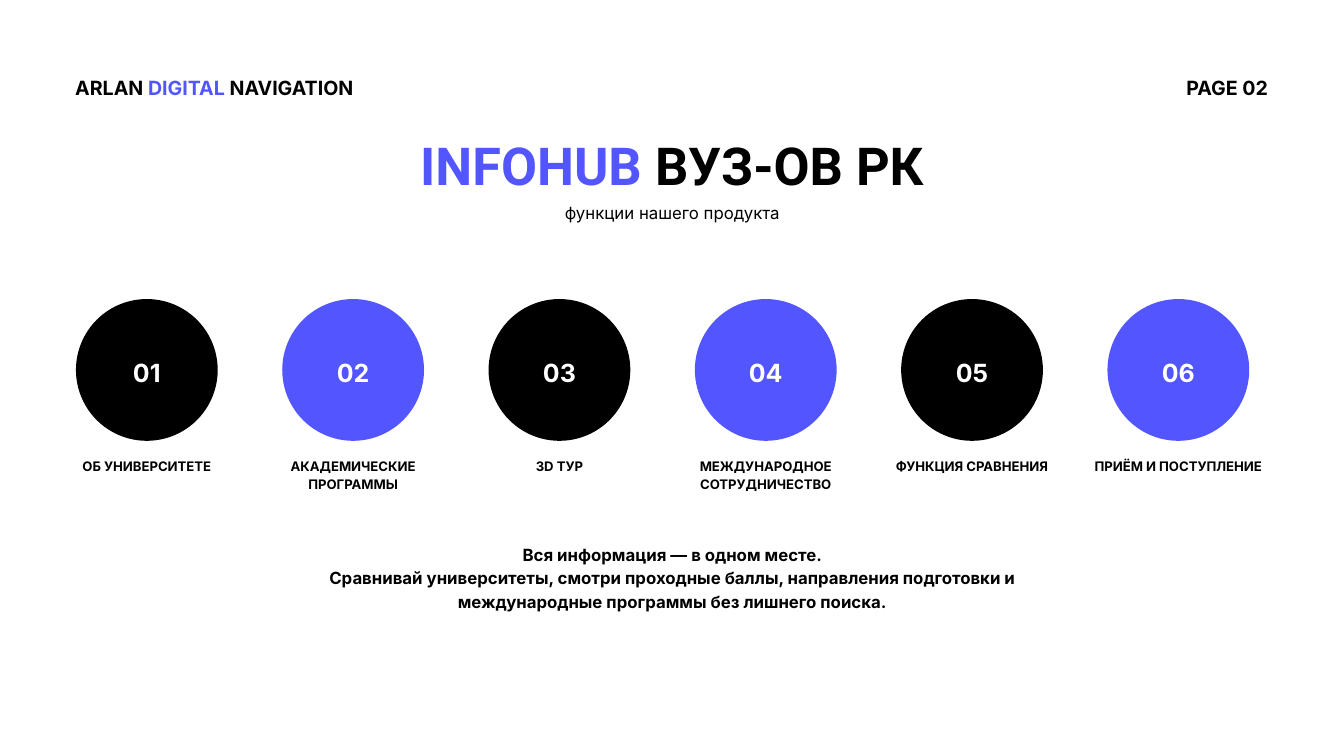
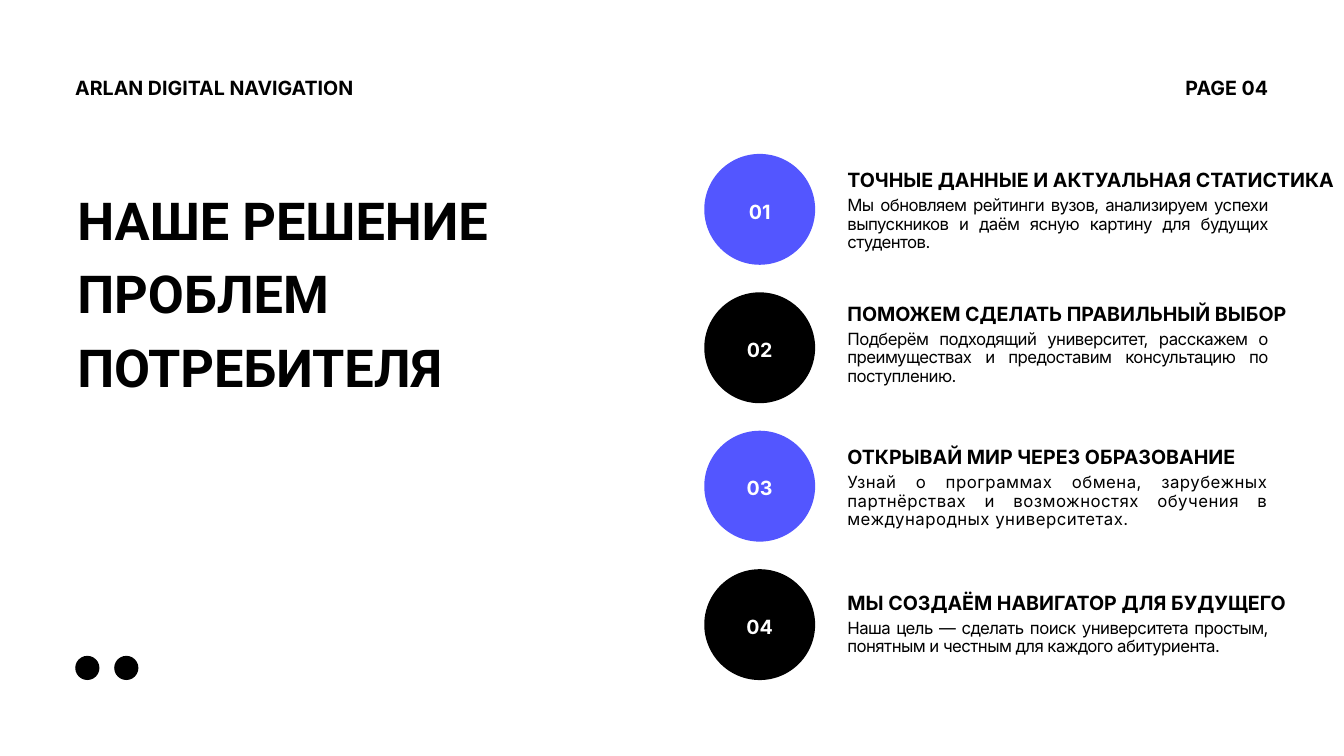
from dataclasses import dataclass

from pptx import Presentation
from pptx.dml.color import RGBColor
from pptx.enum.shapes import MSO_SHAPE
from pptx.enum.text import MSO_ANCHOR, MSO_AUTO_SIZE, PP_ALIGN
from pptx.util import Inches, Pt

LEFT, CENTER = PP_ALIGN.LEFT, PP_ALIGN.CENTER
RIGHT, JUSTIFY = PP_ALIGN.RIGHT, PP_ALIGN.JUSTIFY
TOP, MIDDLE = MSO_ANCHOR.TOP, MSO_ANCHOR.MIDDLE
OVAL = MSO_SHAPE.OVAL
NO_AUTOFIT = MSO_AUTO_SIZE.NONE
TITLE_ONLY = 5

# The grid: 20 columns by 11.25 rows of square cells
SLIDE_WIDTH, SLIDE_HEIGHT = Inches(20), Inches(11.25)
COLUMNS = 20
CELL = SLIDE_WIDTH / COLUMNS


@dataclass(frozen=True)
class TextStyle:
    size: float
    leading: float
    bold: bool = True
    font: str = "Inter"


@dataclass(frozen=True)
class Theme:
    ink: RGBColor = RGBColor(0x00, 0x00, 0x00)
    accent: RGBColor = RGBColor(0x53, 0x56, 0xFF)
    paper: RGBColor = RGBColor(0xFF, 0xFF, 0xFF)
    title: TextStyle = TextStyle(56, 78.4, font="Roboto")
    heading: TextStyle = TextStyle(21, 29.4)
    big_number: TextStyle = TextStyle(26.8, 37.5)
    label: TextStyle = TextStyle(14.1, 19.7)
    statement: TextStyle = TextStyle(18, 25.2)
    subtitle: TextStyle = TextStyle(18, 25.2, bold=False)
    body: TextStyle = TextStyle(18, 20, bold=False)


THEME = Theme()


@dataclass(frozen=True)
class Box:
    """An area measured in grid cells."""
    left: float
    top: float
    width: float
    height: float

    def inner(self, left, top, width, height):
        return Box(self.left + left, self.top + top, width, height)

    def lengths(self):
        cells = (self.left, self.top, self.width, self.height)
        return [round(cell * CELL) for cell in cells]


HEADER = Box(1.12, 1.07, 17.75, 0.4)

FUNCTIONS = [
    "ОБ УНИВЕРСИТЕТЕ",
    "АКАДЕМИЧЕСКИЕ ПРОГРАММЫ",
    "3D ТУР",
    "МЕЖДУНАРОДНОЕ\nСОТРУДНИЧЕСТВО",
    "ФУНКЦИЯ СРАВНЕНИЯ",
    "ПРИЁМ И ПОСТУПЛЕНИЕ",
]

# Heading, body, offset of the text within its row, letter spacing in points
SOLUTIONS = [
    ("ТОЧНЫЕ ДАННЫЕ И АКТУАЛЬНАЯ СТАТИСТИКА",
     "Мы обновляем рейтинги вузов, анализируем успехи выпускников "
     "и даём ясную картину для будущих студентов.", 0.15, -0.6),
    ("ПОМОЖЕМ СДЕЛАТЬ ПРАВИЛЬНЫЙ ВЫБОР",
     "Подберём подходящий университет, расскажем о преимуществах "
     "и предоставим консультацию по поступлению.", 0.08, -0.6),
    ("ОТКРЫВАЙ МИР ЧЕРЕЗ ОБРАЗОВАНИЕ",
     "Узнай о программах обмена, зарубежных партнёрствах "
     "и возможностях обучения в международных университетах.", 0.15, 0.5),
    ("МЫ СОЗДАЁМ НАВИГАТОР ДЛЯ БУДУЩЕГО",
     "Наша цель — сделать поиск университета простым, понятным "
     "и честным для каждого абитуриента.", 0.26, -0.6),
]


# Shared parts
def write(shape, text, style, align=LEFT, color=THEME.ink, anchor=TOP, spacing=0):
    """Fill a shape with text; words between asterisks take the accent colour."""
    frame = shape.text_frame
    frame.margin_left = frame.margin_right = 0
    frame.margin_top = frame.margin_bottom = 0
    frame.word_wrap = True
    frame.auto_size = NO_AUTOFIT
    frame.vertical_anchor = anchor
    frame.text = text.replace("*", "")
    for paragraph, line in zip(frame.paragraphs, text.split("\n")):
        paragraph.alignment = align
        paragraph.line_spacing = Pt(style.leading)
        paragraph.text = ""
        for index, words in enumerate(line.split("*")):
            if not words:
                continue
            span = paragraph.add_run()
            span.text = words
            span.font.name = style.font
            span.font.size = Pt(style.size)
            span.font.bold = style.bold
            span.font.color.rgb = THEME.accent if index % 2 else color
            if spacing:
                span._r.get_or_add_rPr().set("spc", str(round(spacing * 100)))


def add_text(page, box, text, style, align=LEFT, spacing=0):
    shape = page.shapes.add_textbox(*box.lengths())
    write(shape, text, style, align, spacing=spacing)


def add_circle(page, box, color):
    circle = page.shapes.add_shape(OVAL, *box.lengths())
    circle.shadow.inherit = False
    circle.fill.solid()
    circle.fill.fore_color.rgb = color
    circle.line.fill.background()
    return circle


def add_number(page, box, number, style, color):
    circle = add_circle(page, box, color)
    write(circle, f"{number:02}", style, CENTER, THEME.paper, MIDDLE)


def add_header(page, box, name, number):
    add_text(page, box.inner(0, 0, 4.57, box.height), name, THEME.heading)
    page_box = box.inner(box.width - 1.52, 0, 1.52, box.height)
    add_text(page, page_box, f"PAGE {number:02}", THEME.heading, RIGHT)


def set_title(page, box, text, align):
    title = page.shapes.title
    title.left, title.top, title.width, title.height = box.lengths()
    write(title, text, THEME.title, align)


def add_page(deck, name, number):
    page = deck.slides.add_slide(deck.slide_layouts[TITLE_ONLY])
    add_header(page, HEADER, name, number)
    return page


# Functions slide
def add_function_row(page, box, labels):
    label_width, diameter = 2.71, 2.11
    pitch = (box.width - label_width) / (len(labels) - 1)
    for index, label in enumerate(labels):
        column = box.inner(index * pitch, 0, label_width, box.height)
        circle_box = column.inner((label_width - diameter) / 2, 0, diameter, diameter)
        color = THEME.accent if index % 2 else THEME.ink
        add_number(page, circle_box, index + 1, THEME.big_number, color)
        label_box = column.inner(0, 2.33, label_width, 0.53)
        add_text(page, label_box, label, THEME.label, CENTER)


def build_functions(deck):
    page = add_page(deck, "ARLAN *DIGITAL* NAVIGATION", 2)
    set_title(page, Box(4.29, 1.83, 11.42, 1.03), "*INFOHUB* ВУЗ-ОВ РК", CENTER)
    add_text(page, Box(4.2, 2.96, 11.61, 0.34), "функции нашего продукта",
             THEME.subtitle, CENTER)
    add_function_row(page, Box(0.83, 4.45, 18.06, 2.86), FUNCTIONS)
    add_text(page, Box(4.2, 8.05, 11.61, 1.37),
             "Вся информация — в одном месте.\n"
             "Сравнивай университеты, смотри проходные баллы, направления "
             "подготовки и международные программы без лишнего поиска.",
             THEME.statement, CENTER)


# Solutions slide
def add_solution_list(page, box, solutions):
    diameter, text_left = 1.65, 2.13
    pitch = (box.height - diameter) / (len(solutions) - 1)
    for index, (heading, body, offset, spacing) in enumerate(solutions):
        row = box.inner(0, index * pitch, box.width, diameter)
        color = THEME.ink if index % 2 else THEME.accent
        add_number(page, row.inner(0, 0, diameter, diameter), index + 1,
                   THEME.heading, color)
        heading_box = row.inner(text_left, offset, box.width - text_left, 0.4)
        add_text(page, heading_box, heading, THEME.heading)
        body_box = row.inner(text_left, offset + 0.48, 6.26, 0.81)
        add_text(page, body_box, body, THEME.body, JUSTIFY, spacing)


def add_dots(page, box, count):
    pitch = (box.width - box.height) / (count - 1)
    for index in range(count):
        dot_box = box.inner(index * pitch, 0, box.height, box.height)
        add_circle(page, dot_box, THEME.ink)


def build_solutions(deck):
    page = add_page(deck, "ARLAN DIGITAL NAVIGATION", 4)
    set_title(page, Box(1.15, 2.65, 7.63, 3.2),
              "НАШЕ РЕШЕНИЕ ПРОБЛЕМ ПОТРЕБИТЕЛЯ", LEFT)
    add_solution_list(page, Box(10.48, 2.29, 9.52, 7.83), SOLUTIONS)
    add_dots(page, Box(1.12, 9.76, 0.94, 0.36), 2)


def main():
    deck = Presentation()
    deck.slide_width, deck.slide_height = SLIDE_WIDTH, SLIDE_HEIGHT
    build_functions(deck)
    build_solutions(deck)
    deck.save("out.pptx")


if __name__ == "__main__":
    main()
